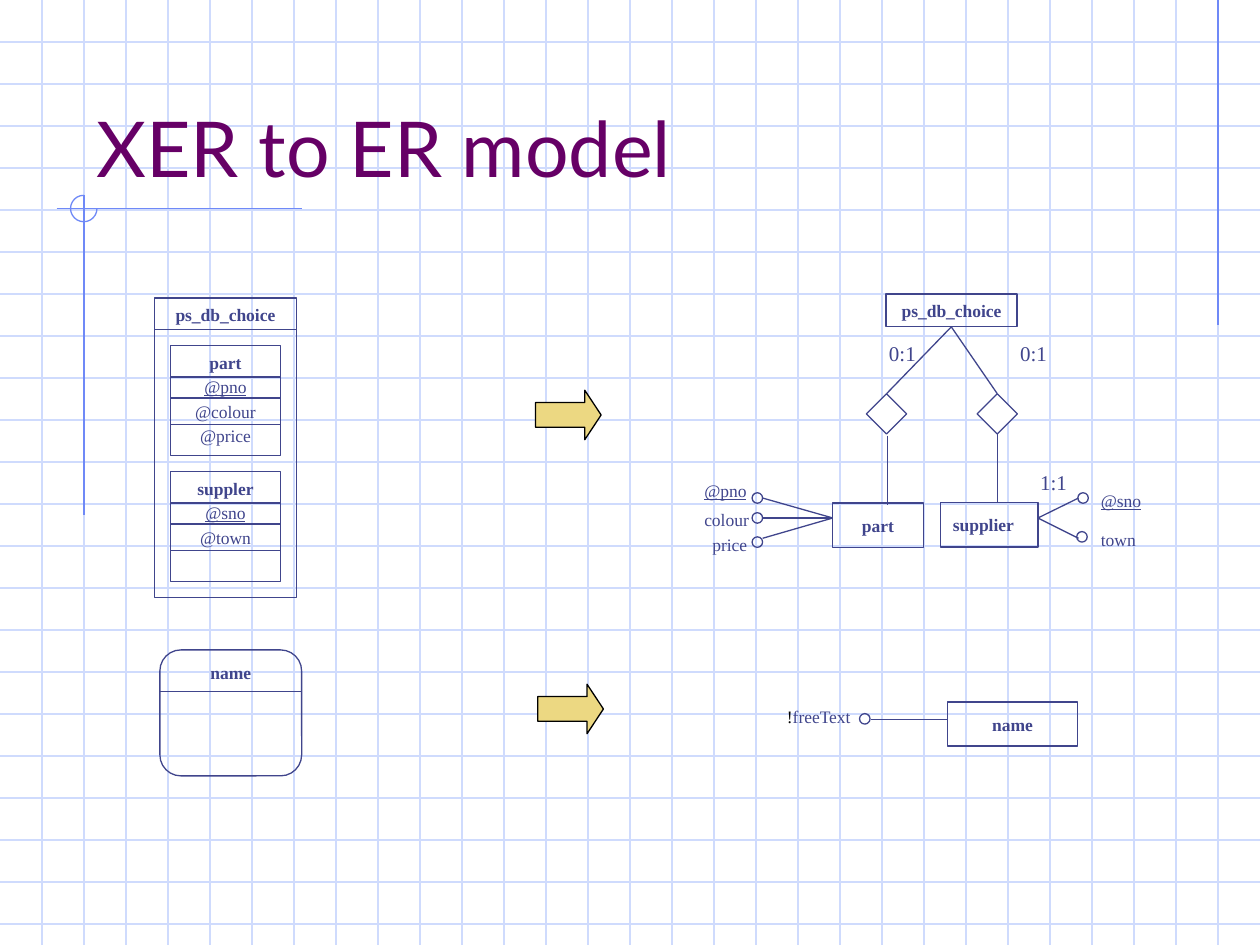
from lxml import etree
from pptx import Presentation
from pptx.dml.color import RGBColor
from pptx.enum.shapes import MSO_CONNECTOR, MSO_SHAPE
from pptx.enum.text import MSO_ANCHOR, MSO_AUTO_SIZE, PP_ALIGN
from pptx.oxml.ns import qn
from pptx.util import Pt

GRID = RGBColor(0xCF, 0xDB, 0xFD)
ACCENT = RGBColor(0x6F, 0x89, 0xF7)
INK = RGBColor(0x40, 0x45, 0x8C)
PURPLE = RGBColor(0x66, 0x00, 0x66)
GOLD = RGBColor(0xEC, 0xD8, 0x82)
WHITE = RGBColor(0xFF, 0xFF, 0xFF)
BLACK = RGBColor(0x00, 0x00, 0x00)
KEYS = ("@pno", "@sno")
WIDTH, HEIGHT, PITCH = 720, 540, 24

deck = Presentation()
deck.slide_width, deck.slide_height = Pt(WIDTH), Pt(HEIGHT)
page = deck.slides.add_slide(deck.slide_layouts[5])


def draw_line(x1, y1, x2, y2, colour=INK):
    line = page.shapes.add_connector(
        MSO_CONNECTOR.STRAIGHT, Pt(x1), Pt(y1), Pt(x2), Pt(y2))
    line.line.color.rgb = colour
    line.line.width = Pt(0.75)
    etree.SubElement(line.element.spPr, qn("a:effectLst"))


def draw_box(kind, left, top, width, height, texts=(), fill=None, colour=INK,
             size=10, align=PP_ALIGN.CENTER, anchor=MSO_ANCHOR.TOP):
    """Draw a preset shape with a bold first line, or a plain label if kind is None."""
    place = [Pt(value) for value in (left, top, width, height)]
    if kind is None:
        box = page.shapes.add_textbox(*place)
        align = PP_ALIGN.LEFT
    else:
        box = page.shapes.add_shape(kind, *place)
        box.shadow.inherit = False
        box.line.color.rgb = colour
        box.line.width = Pt(0.75)
        if fill is None:
            box.fill.background()
        else:
            box.fill.solid()
            box.fill.fore_color.rgb = fill
    frame = box.text_frame
    frame.word_wrap = True
    frame.vertical_anchor = anchor
    for index, text in enumerate(texts):
        para = frame.add_paragraph() if index else frame.paragraphs[0]
        para.alignment = align
        if len(texts) > 1:
            para.space_after = Pt(2)
        span = para.add_run()
        span.text = text
        span.font.color.rgb = colour
        look = {"name": "Times New Roman", "size": Pt(size),
                "bold": kind is not None and index == 0, "underline": text in KEYS}
        for name, value in look.items():
            setattr(span.font, name, value)
    return box


# Background grid
for y in range(PITCH, HEIGHT, PITCH):
    draw_line(0, y, WIDTH, y, GRID)
for x in range(PITCH, WIDTH, PITCH):
    draw_line(x, 0, x, HEIGHT, GRID)

# Accent lines and three-quarter circle
draw_line(696, 0, 696, 186, ACCENT)
draw_line(32.4, 119.3, 172.8, 119.3, ACCENT)
draw_line(48, 111.6, 48, 294.5, ACCENT)
arc = draw_box(MSO_SHAPE.ARC, 40.3, 111.6, 15.1, 15.1, colour=ACCENT)
arc.adjustments[0], arc.adjustments[1] = 0, 162

# Title, in front of the grid
title = page.shapes.title
title.element.getparent().append(title.element)
title.left, title.top, title.width, title.height = Pt(48), Pt(24), Pt(612), Pt(90)
title.text_frame.text = "XER to ER model"
title.text_frame.auto_size = MSO_AUTO_SIZE.NONE
title.text_frame.vertical_anchor = MSO_ANCHOR.BOTTOM
para = title.text_frame.paragraphs[0]
para.alignment = PP_ALIGN.LEFT
para.font.name, para.font.size = "Lato", Pt(44)
para.font.color.rgb = PURPLE

# Arrows from XER to ER
for left, top in ((306, 223), (307.3, 391)):
    arrow = draw_box(MSO_SHAPE.RIGHT_ARROW, left, top, 37.5, 28.3, fill=GOLD, colour=BLACK)
    arrow.adjustments[1] = 0.33

# XER choice entity with its two nested entities
draw_box(MSO_SHAPE.RECTANGLE, 88.3, 170.3, 81, 171, ["ps_db_choice"])
draw_line(88.3, 188.4, 169.3, 188.4)
for top, rows in ((197.4, ["part", "@pno", "@colour", "@price"]),
                  (269.4, ["suppler", "@sno", "@town"])):
    draw_box(MSO_SHAPE.RECTANGLE, 97.3, top, 63, 63, rows)
    for offset in (18, 30, 45):
        draw_line(97.3, top + offset, 160.3, top + offset)

# XER mixed entity
draw_box(MSO_SHAPE.ROUNDED_RECTANGLE, 91.4, 371.4, 81, 72, ["name"])
draw_line(91.4, 395.2, 172.4, 395.2)

# ER entities
for left, top, width, height, name, align in (
        (506.3, 168, 74.9, 18.6, "ps_db_choice", PP_ALIGN.CENTER),
        (475.7, 287.4, 52, 25.5, "part", PP_ALIGN.CENTER),
        (537.4, 287.2, 55.7, 25.4, "supplier", PP_ALIGN.LEFT),
        (541.4, 401.2, 74.4, 25.2, "name", PP_ALIGN.CENTER)):
    draw_box(MSO_SHAPE.RECTANGLE, left, top, width, height, [name],
             align=align, anchor=MSO_ANCHOR.MIDDLE)

# ER relationships
for left, stem, top, bottom in ((495.1, 507.3, 249, 288.7), (558.4, 570, 247.7, 287.2)):
    draw_box(MSO_SHAPE.DIAMOND, left, 225, 23, 23, fill=WHITE)
    draw_line(543.6, 186.8, left + 11.5, 225)
    draw_line(stem, top, stem, bottom)

# ER attributes: circle, and link to the entity
for left, top, link_x, link_y, entity_x, entity_y in (
        (429.8, 281.6, 435.8, 284.6, 475.9, 296),
        (429.8, 293, 435.8, 296, 475.9, 296),
        (429.8, 306.8, 435.8, 307.6, 475.9, 296),
        (615.9, 281.6, 616.3, 284.6, 593.1, 296),
        (615.3, 303.8, 616.3, 307.6, 593.1, 296),
        (491.2, 407.8, 497.8, 411.2, 541.4, 411.2)):
    draw_box(MSO_SHAPE.OVAL, left, top, 6, 6)
    draw_line(link_x, link_y, entity_x, entity_y)

# Attribute names and cardinalities
for text, left, top, width, size in (
        ("@pno", 395.4, 270.9, 57.6, 10),
        ("colour", 395.4, 287.6, 57.6, 10),
        ("price", 400, 301.7, 40, 10),
        ("@sno", 622, 276.7, 57.6, 10),
        ("town", 622, 299, 57.6, 10),
        ("0:1", 500.9, 190.8, 34.6, 12),
        ("0:1", 575.8, 190.8, 34.6, 12),
        ("1:1", 587.3, 264.8, 34.6, 12)):
    draw_box(None, left, top, width, 19.4, [text], size=size)

# Free text attribute
label = draw_box(None, 442.6, 399.8, 62.6, 19.4, ["!"], colour=BLACK)
span = label.text_frame.paragraphs[0].add_run()
span.text = "freeText"
span.font.name, span.font.size = "Times New Roman", Pt(10)
span.font.color.rgb = INK

deck.save("out.pptx")
